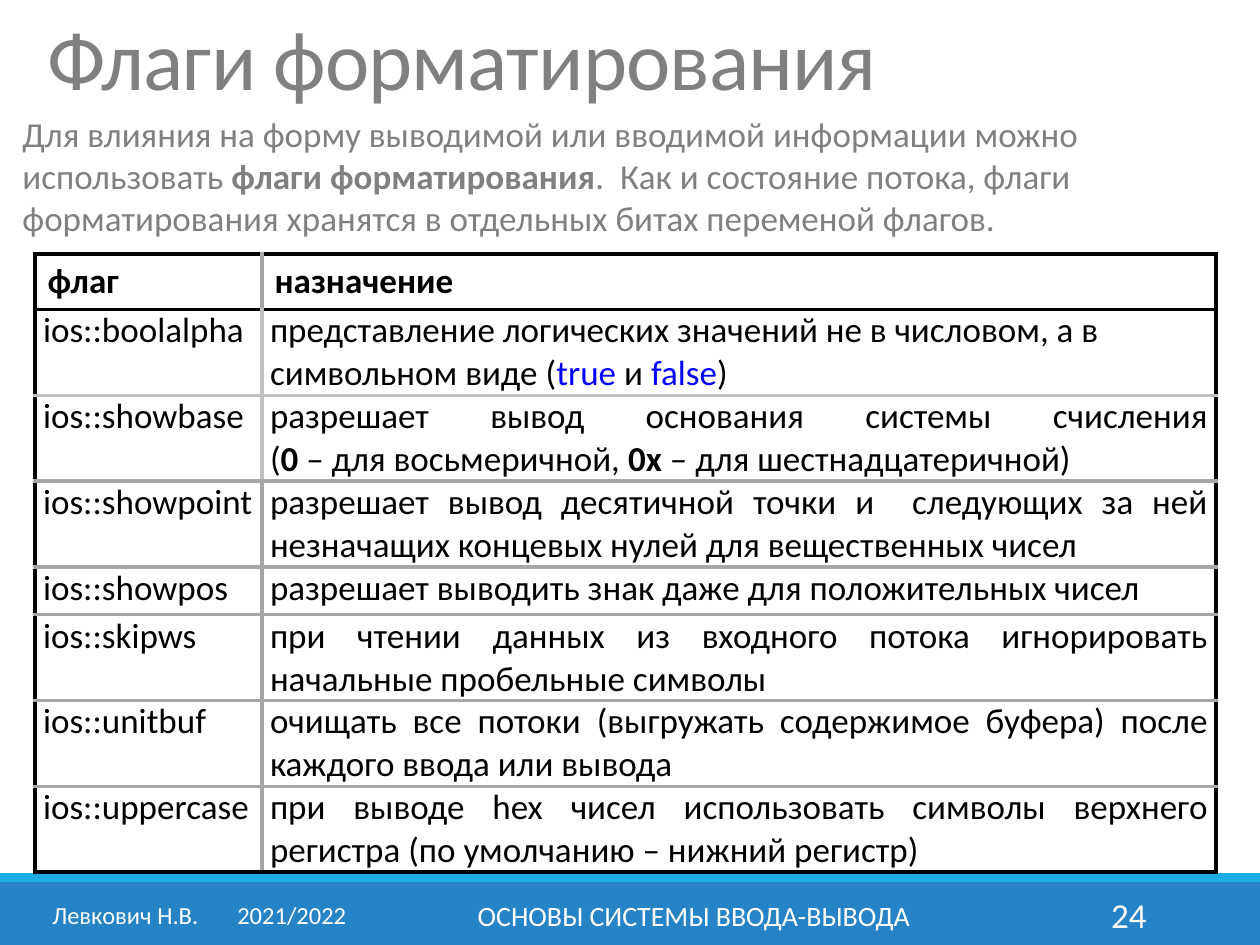
import pptx
import pptx.dml.color
import pptx.enum.shapes
import pptx.enum.text
import pptx.oxml
import pptx.oxml.ns
import pptx.util
from dataclasses import dataclass

ALIGN = pptx.enum.text.PP_ALIGN
ANCHOR = pptx.enum.text.MSO_ANCHOR
PX_PER_INCH = 126


def px(n):
    return pptx.util.Emu(round(n * 914400 / PX_PER_INCH))


def rgb(value):
    return pptx.dml.color.RGBColor.from_string(value)


@dataclass(frozen=True)
class Theme:
    font: str = "Calibri"
    black: str = "000000"
    white: str = "FFFFFF"
    gray: str = "808080"
    rule: str = "A6A6A6"
    light_rule: str = "BFBFBF"
    keyword: str = "0000FF"
    footer: str = "2683C6"
    accent: str = "1CADE4"
    title: int = 48
    body: int = 20
    topic: int = 16
    author: int = 14
    border: float = 2.25


class Deck:
    def __init__(self, theme):
        self.theme = theme
        self.prs = pptx.Presentation()
        self.prs.slide_width = px(1260)
        self.prs.slide_height = px(945)
        self.s = self.prs.slides.add_slide(self.prs.slide_layouts[6])

    def bar(self, x, y, w, h, color):
        kind = pptx.enum.shapes.MSO_SHAPE.RECTANGLE
        sp = self.s.shapes.add_shape(kind, px(x), px(y), px(w), px(h))
        sp.shadow.inherit = False
        sp.fill.solid()
        sp.fill.fore_color.rgb = rgb(color)
        sp.line.fill.background()

    def runs(self, p, parts, size, color):
        """Each part is a string or a (string, style) pair; style is "bold" or a colour."""
        for part in parts:
            text, style = part if isinstance(part, tuple) else (part, None)
            if text == "\n":
                p.add_line_break()
                continue
            r = p.add_run()
            r.text = text
            r.font.name = self.theme.font
            r.font.size = pptx.util.Pt(size)
            r.font.bold = style == "bold"
            r.font.color.rgb = rgb(color if style in (None, "bold") else style)

    def text(self, box, parts, size, color, align=ALIGN.LEFT, anchor=ANCHOR.TOP):
        tf = self.s.shapes.add_textbox(*map(px, box)).text_frame
        tf.word_wrap = True
        tf.vertical_anchor = anchor
        p = tf.paragraphs[0]
        p.alignment = align
        self.runs(p, parts, size, color)
        return p

    def tab(self, p, position):
        p._p.get_or_add_pPr().append(pptx.oxml.parse_xml(
            f'<a:tabLst {pptx.oxml.ns.nsdecls("a")}>'
            f'<a:tab pos="{px(position)}" algn="l"/></a:tabLst>'))

    def borders(self, cell, colors):
        tcPr = cell._tc.get_or_add_tcPr()
        width = pptx.util.Pt(self.theme.border)
        for i, (side, color) in enumerate(zip("LRTB", colors)):
            tcPr.insert(i, pptx.oxml.parse_xml(
                f'<a:ln{side} {pptx.oxml.ns.nsdecls("a")} w="{width}">'
                f'<a:solidFill><a:srgbClr val="{color}"/></a:solidFill></a:ln{side}>'))

    def table(self, box, widths, heights, rows, level_rules, dividers, left_cells):
        th = self.theme
        frame = self.s.shapes.add_table(len(rows), len(widths), *map(px, box))
        table = frame.table
        table.first_row = table.horz_banding = False
        for column, width in zip(table.columns, widths):
            column.width = px(width)
        for row, height in zip(table.rows, heights):
            row.height = px(height)
        frame.height = px(box[3])
        for i, row in enumerate(rows):
            uprights = [th.black, dividers[i], th.black]
            for j, parts in enumerate(row):
                cell = table.cell(i, j)
                cell.fill.background()
                if i > 0:
                    cell.margin_left = cell.margin_right = px(8)
                    cell.margin_top = cell.margin_bottom = 0
                p = cell.text_frame.paragraphs[0]
                p.alignment = ALIGN.LEFT if (i, j) in left_cells else ALIGN.JUSTIFY
                self.runs(p, parts, th.body, th.black)
                self.borders(cell, uprights[j:j + 2] + level_rules[i:i + 2])


def main():
    th = Theme()
    deck = Deck(th)

    # Footer bars
    deck.bar(0, 882, 1260, 63, th.footer)
    deck.bar(0, 873, 1260, 9, th.accent)

    # Table of flags
    flags = [
        ([("флаг", "bold")], [("назначение", "bold")]),
        (["ios::boolalpha"],
         ["представление логических значений не в числовом, а в символьном виде (",
          ("true ", th.keyword), "и ", ("false", th.keyword), ")"]),
        (["ios::showbase"],
         ["разрешает вывод основания системы счисления", "\n", "(", ("0", "bold"),
          " – для восьмеричной, ", ("0х", "bold"), " – для шестнадцатеричной)"]),
        (["ios::showpoint"],
         ["разрешает вывод десятичной точки и  следующих за ней "
          "незначащих концевых нулей для вещественных чисел"]),
        (["ios::showpos"],
         ["разрешает выводить знак даже для положительных чисел"]),
        (["ios::skipws"],
         ["при чтении данных из входного потока игнорировать "
          "начальные пробельные символы"]),
        (["ios::unitbuf"],
         ["очищать все потоки (выгружать содержимое буфера) после "
          "каждого ввода или вывода"]),
        (["ios::uppercase"],
         ["при выводе hex чисел использовать символы верхнего "
          "регистра (по умолчанию – нижний регистр)"]),
    ]
    deck.table(
        (35, 254, 1181, 606), [227, 954], [37] + [48] * 5 + [64] * 2, flags,
        level_rules=[th.black] * 2 + [th.light_rule] + [th.rule] * 5 + [th.black],
        dividers=[th.rule] + [th.light_rule] * 2 + [th.rule] * 5,
        left_cells={(0, 0), (0, 1), (1, 1)})

    # Introduction
    deck.text((10, 106, 1216, 140),
              ["Для влияния на форму выводимой или вводимой информации можно использовать ",
               ("флаги форматирования", "bold"),
               ".  Как и состояние потока, флаги форматирования хранятся "
               "в отдельных битах переменой флагов."],
              th.body, th.gray)

    # Footer texts
    author = deck.text((40, 890, 329, 50), ["Левкович Н.В.\t2021/2022"],
                       th.author, th.white, anchor=ANCHOR.MIDDLE)
    deck.tab(author, 185)
    deck.text((381, 890, 626, 50), ["ОСНОВЫ СИСТЕМЫ ВВОДА-ВЫВОДА"],
              th.topic, th.white, ALIGN.CENTER, ANCHOR.MIDDLE)
    deck.text((1023, 890, 136, 50), ["24"],
              th.body, th.white, ALIGN.RIGHT, ANCHOR.MIDDLE)

    # Title
    title = deck.text((35, 16, 1014, 100), ["Флаги форматирования"], th.title, th.gray)
    title.line_spacing = 0.85
    title.runs[0].font._element.set("spc", "-50")

    deck.prs.save("out.pptx")


if __name__ == "__main__":
    main()
